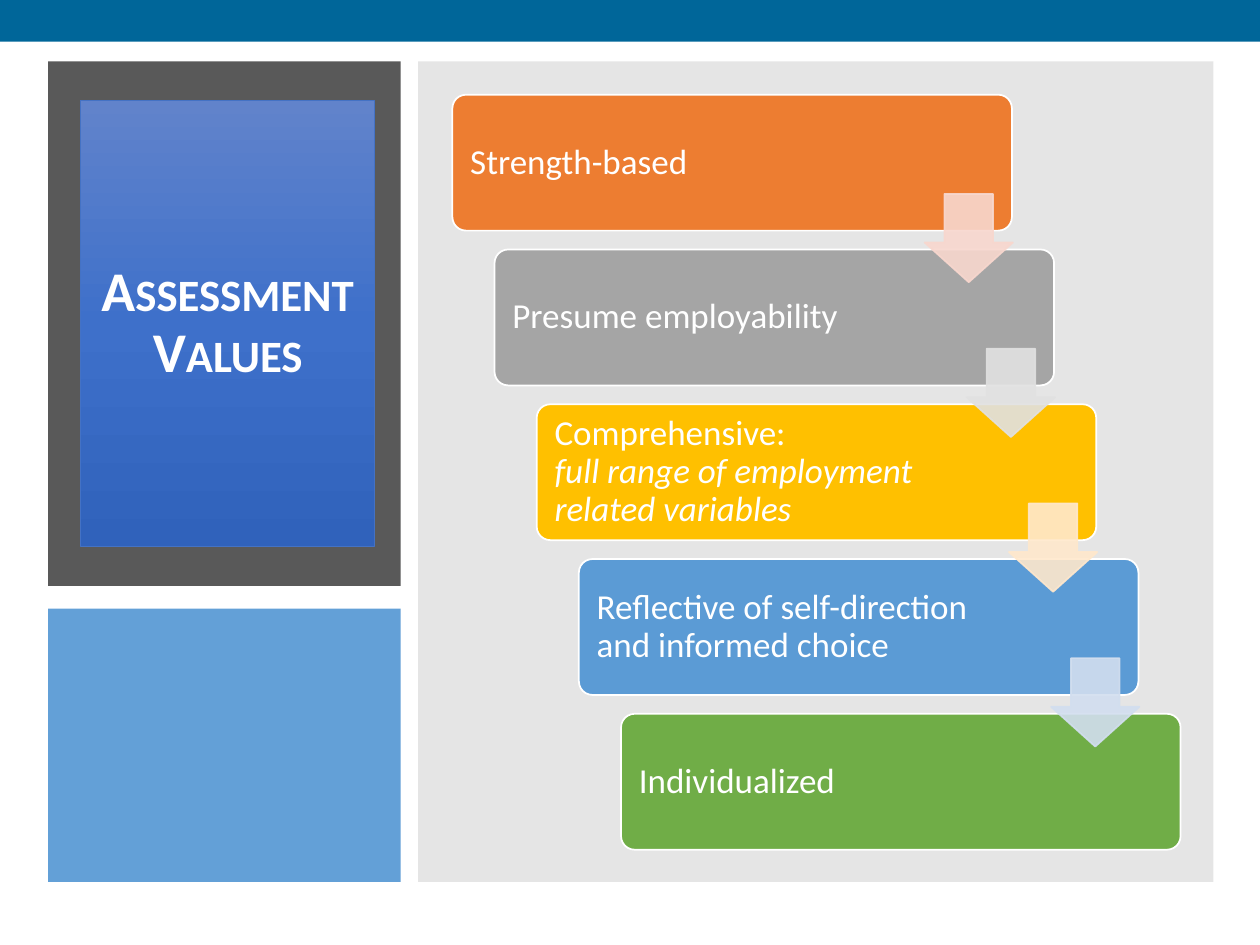
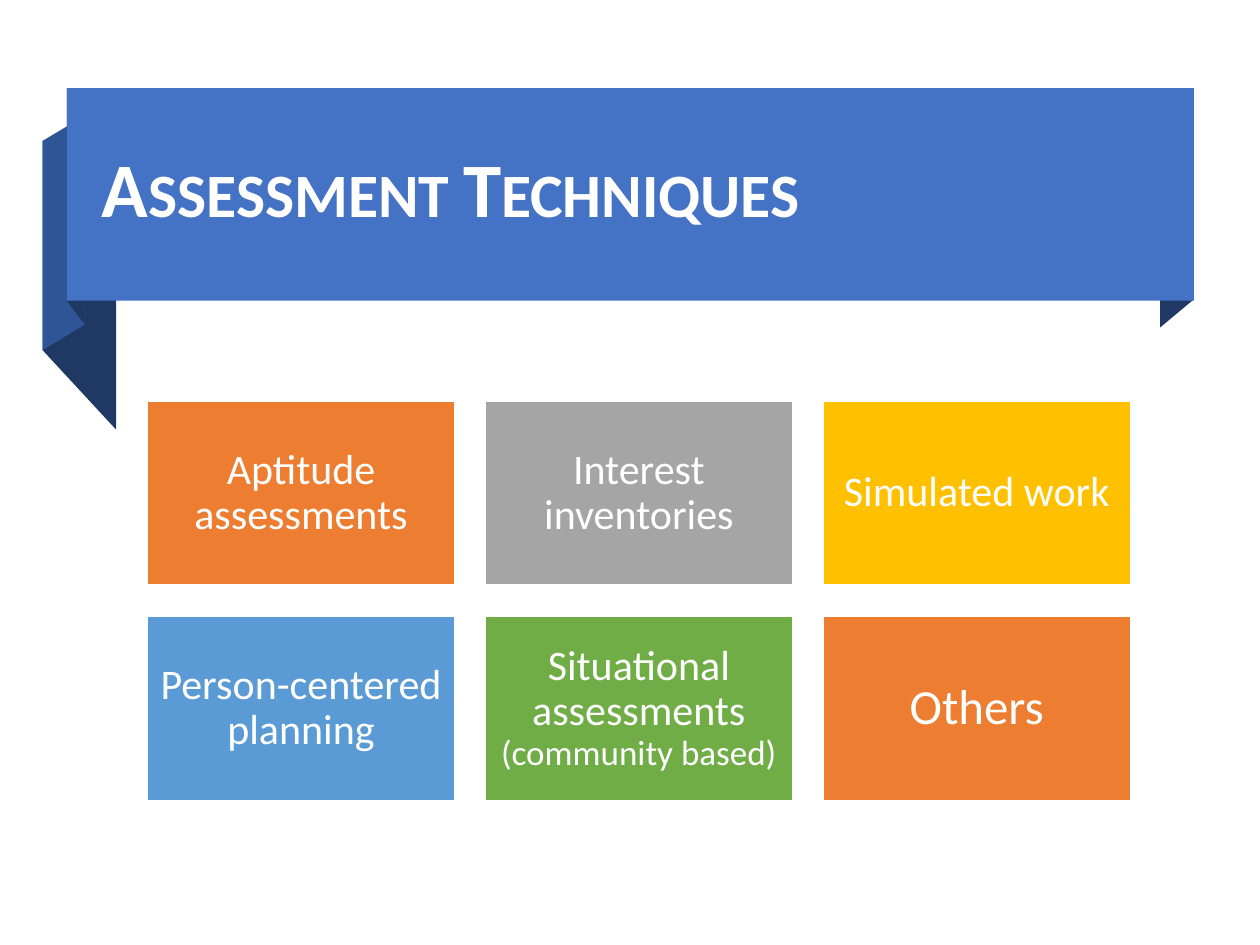
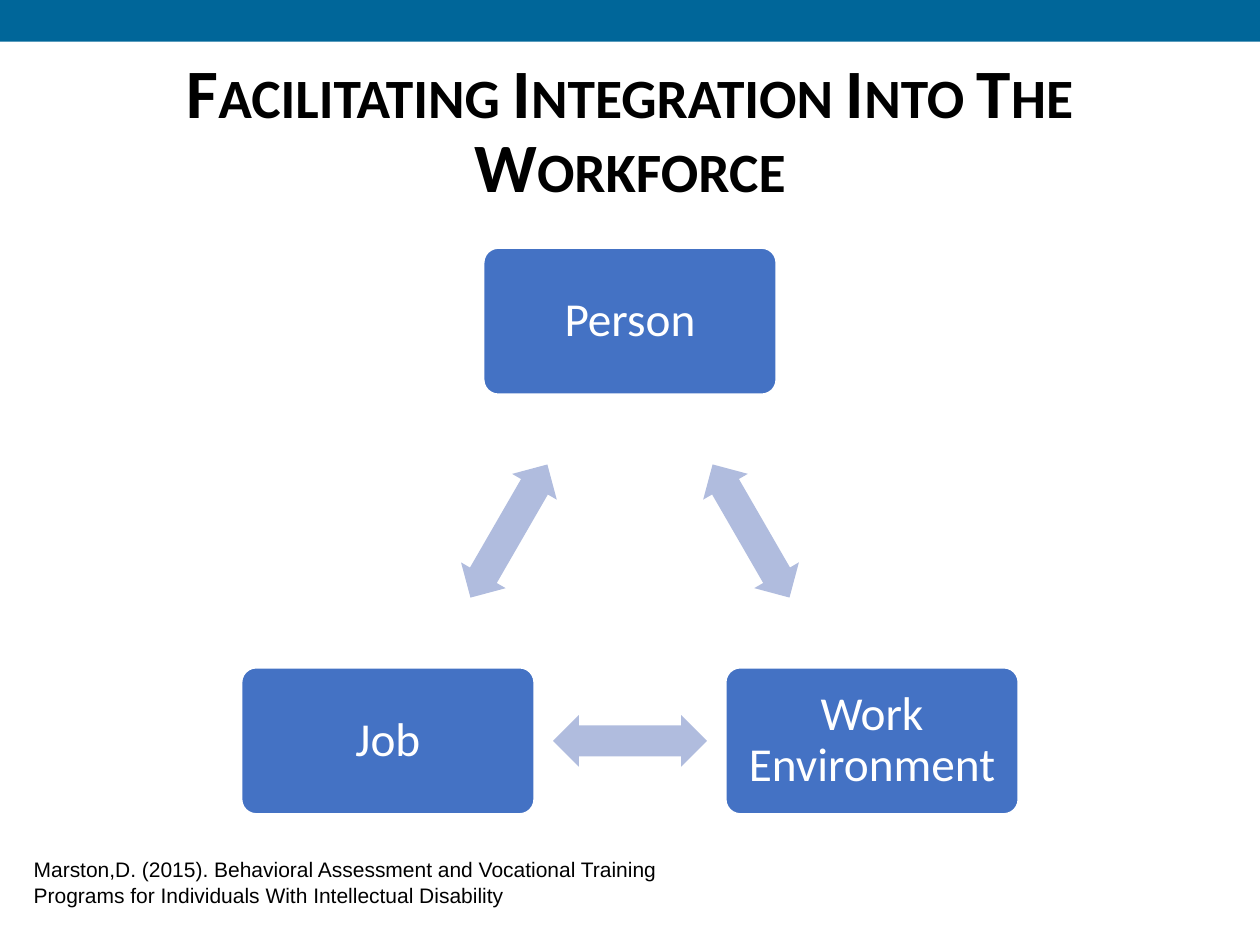
"""Build three slides on assessment values, techniques and workforce integration."""
import copy
import math
from dataclasses import dataclass

from lxml import etree
from pptx import Presentation
from pptx.dml import color as dml
from pptx.enum import shapes, text
from pptx.oxml import ns
from pptx.util import Cm, Pt

SHAPE = shapes.MSO_SHAPE
LEFT, CENTER = text.PP_ALIGN.LEFT, text.PP_ALIGN.CENTER


@dataclass(frozen=True)
class Theme:
    """Colours, fonts and type sizes of the deck."""
    heading_font: str = "Calibri"
    citation_font: str = "Arial"
    white: str = "FFFFFF"
    black: str = "000000"
    band: str = "006699"
    frame: str = "595959"
    backdrop: str = "808080"
    blue: str = "4472C4"
    fold: str = "2F5597"
    deep_fold: str = "203864"
    orange: str = "ED7D31"
    gray: str = "A5A5A5"
    gold: str = "FFC000"
    sky: str = "5B9BD5"
    green: str = "70AD47"
    link: str = "B0BCDE"
    step_arrows: tuple = ("F8D7CE", "E1E1E1", "FFE8CC", "D2DEEF")
    title_gradient: tuple = ("6183CB", "3E70CA", "3062BB")
    tall_title: float = 32
    ribbon_title: float = 44
    wide_title: float = 39.6
    step: float = 20
    technique: float = 24
    aside: float = 20
    others: float = 28
    node: float = 27
    citation: float = 12


THEME = Theme()
ACCENTS = (THEME.orange, THEME.gray, THEME.gold, THEME.sky, THEME.green)


@dataclass(frozen=True)
class Box:
    """A rectangle in centimetres."""
    left: float
    top: float
    width: float
    height: float

    def lengths(self) -> tuple:
        """Return left, top, width and height as lengths."""
        return Cm(self.left), Cm(self.top), Cm(self.width), Cm(self.height)

    def center(self) -> tuple:
        """Return the middle point."""
        return self.left + self.width / 2, self.top + self.height / 2


@dataclass(frozen=True)
class Label:
    """A text with an optional second part in its own style."""
    text: str
    size: float
    second: str = ""
    second_size: float | None = None
    italic: bool | None = None
    broken: bool = False


@dataclass(frozen=True)
class Fold:
    """A folded part of the ribbon."""
    color: str
    points: tuple


def rgb(value: str) -> dml.RGBColor:
    """Turn a hex string into a colour."""
    return dml.RGBColor.from_string(value)


def paint(shape, fill: str, line: str | None = None, width: float = 1) -> None:
    """Give a shape a flat fill and an optional outline."""
    shape.shadow.inherit = False
    shape.fill.solid()
    shape.fill.fore_color.rgb = rgb(fill)
    if line:
        shape.line.color.rgb = rgb(line)
        shape.line.width = Pt(width)
    else:
        shape.line.fill.background()


def set_opacity(shape, percent: int) -> None:
    """Make the fill and outline colours of a shape translucent."""
    for element in shape.element.spPr.findall(".//" + ns.qn("a:srgbClr")):
        etree.SubElement(element, ns.qn("a:alpha")).set("val", str(percent * 1000))


def add_block(slide, box: Box, fill: str, line: str | None = None,
              kind=SHAPE.RECTANGLE, adjustments: tuple = ()):
    """Add a painted preset shape."""
    shape = slide.shapes.add_shape(kind, *box.lengths())
    for index, value in enumerate(adjustments):
        shape.adjustments[index] = value
    paint(shape, fill, line)
    return shape


def style_paragraph(paragraph, size: float, color: str, align=LEFT,
                    font: str = THEME.heading_font) -> None:
    """Set the font and alignment of a paragraph."""
    paragraph.alignment = align
    paragraph.font.size = Pt(size)
    paragraph.font.name = font
    paragraph.font.color.rgb = rgb(color)


def write_label(shape, label: Label, align, inset: float, right: float | None = None) -> None:
    """Write a white label in a shape, centred vertically."""
    frame = shape.text_frame
    frame.word_wrap = True
    frame.vertical_anchor = text.MSO_ANCHOR.MIDDLE
    frame.margin_left = frame.margin_top = frame.margin_bottom = Cm(inset)
    frame.margin_right = Cm(inset if right is None else right)
    paragraph = frame.paragraphs[0]
    paragraph.line_spacing = 0.9
    style_paragraph(paragraph, label.size, THEME.white, align)
    paragraph.add_run().text = label.text
    if label.broken:
        paragraph.add_line_break()
    if label.second:
        run = paragraph.add_run()
        run.text = label.second
        run.font.italic = label.italic
        if label.second_size:
            run.font.size = Pt(label.second_size)


def place_title(slide, box: Box, words: str, size: float, color: str, align=CENTER):
    """Move the title placeholder to the front and format it in small capitals."""
    title = slide.shapes.title
    title.element.getparent().append(title.element)
    title.left, title.top, title.width, title.height = box.lengths()
    frame = title.text_frame
    frame.text = words
    frame.word_wrap = True
    frame.auto_size = text.MSO_AUTO_SIZE.NONE
    frame.vertical_anchor = text.MSO_ANCHOR.MIDDLE
    paragraph = frame.paragraphs[0]
    paragraph.line_spacing = 0.9
    style_paragraph(paragraph, size, color, align)
    paragraph.font.bold = True
    paragraph.font._element.set("cap", "small")
    return title


def fill_gradient(shape, colors: tuple) -> None:
    """Fill a shape from top to bottom with evenly spaced colours."""
    shape.fill.gradient()
    shape.fill.gradient_angle = 270
    stop_list = shape.element.spPr.find(".//" + ns.qn("a:gsLst"))
    while len(stop_list) < len(colors):
        stop_list.append(copy.deepcopy(stop_list[-1]))
    for index, stop in enumerate(shape.fill.gradient_stops):
        stop.position = index / (len(colors) - 1)
        stop.color.rgb = rgb(colors[index])


def add_master_band(slide) -> None:
    """Put the top band on the slide master."""
    band = add_block(slide, Box(0, 0, 25.4, 0.84), THEME.band)
    slide.slide_layout.slide_master.element.cSld.spTree.insert(2, band.element)


def build_values(slide) -> None:
    """Draw the staircase of assessment values."""
    add_block(slide, Box(0.97, 1.24, 7.11, 10.57), THEME.frame)
    set_opacity(add_block(slide, Box(0.97, 12.27, 7.11, 5.51), THEME.sky), 95)
    set_opacity(add_block(slide, Box(8.43, 1.24, 16.03, 16.54), THEME.backdrop), 20)

    title = place_title(slide, Box(1.63, 2.03, 5.92, 8.99), "Assessment Values",
                        THEME.tall_title, THEME.white)
    fill_gradient(title, THEME.title_gradient)
    title.line.color.rgb = rgb(THEME.blue)
    title.line.width = Pt(0.5)

    labels = (
        Label("Strength-based", THEME.step),
        Label("Presume employability", THEME.step),
        Label("Comprehensive:", THEME.step, "full range of employment related variables",
              italic=True, broken=True),
        Label("Reflective of self-direction and informed choice", THEME.step),
        Label("Individualized", THEME.step),
    )
    steps = [Box(9.12 + 0.85 * index, 1.91 + 3.12 * index, 11.28, 2.74)
             for index in range(len(labels))]
    for step, label, color in zip(steps, labels, ACCENTS):
        shape = add_block(slide, step, color, THEME.white, SHAPE.ROUNDED_RECTANGLE, (0.1,))
        write_label(shape, label, LEFT, 0.28, right=2.9)
    for step, color in zip(steps, THEME.step_arrows):
        arrow = add_block(slide, Box(step.left + 9.52, step.top + 2, 1.78, 1.78),
                          color, color, SHAPE.DOWN_ARROW, (0.55, 0.45))
        set_opacity(arrow, 90)


def build_techniques(slide) -> None:
    """Draw the ribbon title and the grid of techniques."""
    add_block(slide, Box(0, 0, 25.4, 19.05), THEME.white)
    folds = (
        Fold(THEME.deep_fold, ((24.05, 6.05), (23.39, 6.6), (23.39, 2.31), (24.05, 1.78))),
        Fold(THEME.deep_fold, ((2.34, 8.66), (0.86, 7.06), (0.86, 2.84), (2.34, 4.45))),
        Fold(THEME.fold, ((1.7, 6.55), (0.86, 7.06), (0.86, 2.84), (1.7, 2.34))),
        Fold(THEME.deep_fold, ((1.7, 6.53), (1.35, 6.07), (1.35, 1.78), (1.7, 2.26))),
    )
    for fold in folds:
        start, *others = [(Cm(x), Cm(y)) for x, y in fold.points]
        builder = slide.shapes.build_freeform(*start)
        builder.add_line_segments(others, close=True)
        paint(builder.convert_to_shape(), fold.color)
    add_block(slide, Box(1.35, 1.78, 22.72, 4.28), THEME.blue)

    labels = (
        Label("Aptitude assessments", THEME.technique),
        Label("Interest inventories", THEME.technique),
        Label("Simulated work", THEME.technique),
        Label("Person-centered planning", THEME.technique),
        Label("Situational assessments ", THEME.technique, "(community based)", THEME.aside),
        Label("Others", THEME.others),
    )
    for index, label in enumerate(labels):
        row, column = divmod(index, 3)
        tile = Box(2.97 + 6.81 * column, 8.09 + 4.34 * row, 6.2, 3.71)
        shape = add_block(slide, tile, ACCENTS[index % len(ACCENTS)], THEME.white)
        write_label(shape, label, CENTER, 0.24)
    place_title(slide, Box(1.8, 2.29, 21.59, 3.18), "Assessment Techniques",
                THEME.ribbon_title, THEME.white, LEFT)


def build_integration(slide) -> None:
    """Draw the triangle that links person, work environment and job."""
    nodes = {
        "Person": Box(9.75, 5, 5.9, 2.95),
        "Work Environment": Box(14.63, 13.46, 5.9, 2.95),
        "Job": Box(4.87, 13.46, 5.9, 2.95),
    }
    for name, box in nodes.items():
        shape = add_block(slide, box, THEME.blue, THEME.white, SHAPE.ROUNDED_RECTANGLE, (0.1,))
        write_label(shape, Label(name, THEME.node), CENTER, 0.36)

    centers = [box.center() for box in nodes.values()]
    width, height = 3.1, 1.04
    for (x1, y1), (x2, y2) in zip(centers, centers[1:] + centers[:1]):
        middle = Box((x1 + x2 - width) / 2, (y1 + y2 - height) / 2, width, height)
        arrow = add_block(slide, middle, THEME.link, None, SHAPE.LEFT_RIGHT_ARROW, (0.6, 0.5))
        arrow.rotation = round(math.degrees(math.atan2(y2 - y1, x2 - x1))) % 360

    place_title(slide, Box(1.9, 1.09, 21.6, 3.18), "Facilitating Integration Into The Workforce",
                THEME.wide_title, THEME.black)
    citation = slide.shapes.add_textbox(*Box(0.43, 17.15, 13.94, 1.27).lengths())
    citation.text_frame.word_wrap = True
    citation.text_frame.text = ("Marston,D. (2015). Behavioral Assessment and Vocational Training "
                                "Programs for Individuals With Intellectual Disability")
    style_paragraph(citation.text_frame.paragraphs[0], THEME.citation, THEME.black,
                    font=THEME.citation_font)


def main() -> None:
    """Build and save the deck."""
    presentation = Presentation()
    presentation.slide_width, presentation.slide_height = Cm(25.4), Cm(19.05)
    title_only = presentation.slide_layouts[5]
    builders = (build_values, build_techniques, build_integration)
    slides = [presentation.slides.add_slide(title_only) for _ in builders]
    add_master_band(slides[0])
    for build, slide in zip(builders, slides):
        build(slide)
    presentation.save("out.pptx")


if __name__ == "__main__":
    main()
